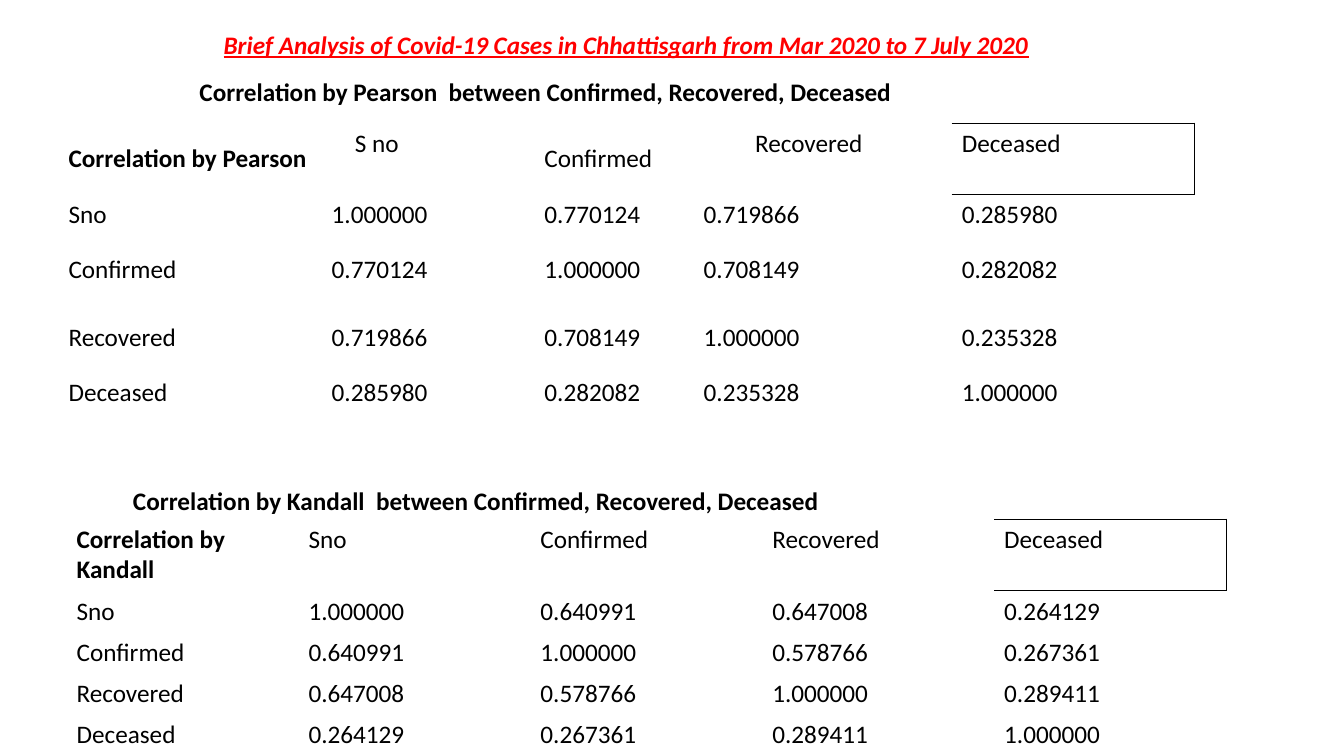
import pptx
import pptx.util
import pptx.dml.color
import pptx.enum.text
import pptx.oxml
import pptx.oxml.ns

Inches = pptx.util.Inches
ANCHOR = pptx.enum.text.MSO_ANCHOR
NO_STYLE_NO_GRID = "{2D5ABB26-0587-4C30-8999-92F81FD0307C}"


def color(hex_string):
    return pptx.dml.color.RGBColor.from_string(hex_string)


def add_run(frame, text, hex_string="000000", bold=False):
    run = frame.paragraphs[0].add_run()
    run.text = text
    run.font.name = "Calibri"
    run.font.size = pptx.util.Pt(18)
    run.font.bold = bold
    run.font.color.rgb = color(hex_string)
    return run


deck = pptx.Presentation()
deck.slide_width = Inches(13.33)
deck.slide_height = Inches(7.5)
slide = deck.slides.add_slide(deck.slide_layouts[6])

# Correlation matrices: left, top, column widths, row heights, values
names = ["Confirmed", "Recovered", "Deceased"]
pearson = [
    ["Correlation by Pearson", "S no", *names],
    ["Sno", "1.000000", "0.770124", "0.719866", "0.285980"],
    ["Confirmed", "0.770124", "1.000000", "0.708149", "0.282082"],
    ["Recovered", "0.719866", "0.708149", "1.000000", "0.235328"],
    ["Deceased", "0.285980", "0.282082", "0.235328", "1.000000"],
]
kandall = [
    ["Correlation by Kandall", "Sno", *names],
    ["Sno", "1.000000", "0.640991", "0.647008", "0.264129"],
    ["Confirmed", "0.640991", "1.000000", "0.578766", "0.267361"],
    ["Recovered", "0.647008", "0.578766", "1.000000", "0.289411"],
    ["Deceased", "0.264129", "0.267361", "0.289411", "1.000000"],
]
matrices = [
    (0.58, 1.22, [2.61, 2.11, 1.58, 2.56, 2.41], [0.71, 0.4, 0.68, 0.68, 0.4], pearson),
    (0.66, 5.15, [2.3] * 5, [0.71] + [0.41] * 4, kandall),
]
tables = []
for left, top, widths, heights, values in matrices:
    frame = slide.shapes.add_table(
        len(heights), len(widths), Inches(left), Inches(top),
        Inches(sum(widths)), Inches(sum(heights)))
    table = frame.table
    tables.append(table)
    table.first_row = table.horz_banding = False
    style = frame._element.find(".//" + pptx.oxml.ns.qn("a:tableStyleId"))
    style.text = NO_STYLE_NO_GRID
    for column, width in zip(table.columns, widths):
        column.width = Inches(width)
    for row, height in zip(table.rows, heights):
        row.height = Inches(height)
    for r, row_values in enumerate(values):
        for c, value in enumerate(row_values):
            cell = table.cell(r, c)
            cell.vertical_anchor = ANCHOR.MIDDLE
            add_run(cell.text_frame, value, bold=(r == 0 and c == 0))

    # Box around the Deceased heading, open on the left
    heading = table.cell(0, 4)
    heading.vertical_anchor = ANCHOR.TOP
    for side in ("lnR", "lnT", "lnB"):
        heading._tc.get_or_add_tcPr().append(pptx.oxml.parse_xml(
            f'<a:{side} {pptx.oxml.ns.nsdecls("a")} w="9525"><a:solidFill>'
            f'<a:srgbClr val="000000"/></a:solidFill></a:{side}>'))
    for cell in table.iter_cells():
        cell.fill.background()

# Headings that sit high in the Kandall and Pearson header rows
for c in (1, 2, 3):
    tables[1].cell(0, c).vertical_anchor = ANCHOR.TOP
for c, indent in ((1, 0.33), (3, 0.61)):
    heading = tables[0].cell(0, c)
    heading.vertical_anchor = ANCHOR.TOP
    heading.margin_left = Inches(indent)

# Slide title and matrix titles
titles = [
    (1.88, 0.71, 9.09, "Correlation by Pearson  between Confirmed, Recovered, Deceased", "000000"),
    (1.22, 4.77, 9.75, "Correlation by Kandall  between Confirmed, Recovered, Deceased", "000000"),
    (2.12, 0.24, 9.03,
     "Brief Analysis of Covid-19 Cases in Chhattisgarh from Mar 2020 to 7 July 2020", "FF0000"),
]
for left, top, width, text, hex_string in titles:
    box = slide.shapes.add_textbox(Inches(left), Inches(top), Inches(width), Inches(0.71))
    box.text_frame.word_wrap = True
    title = add_run(box.text_frame, text, hex_string, bold=True)

# The slide title comes last
title.font.italic = True
title.font.underline = True

deck.save("out.pptx")
